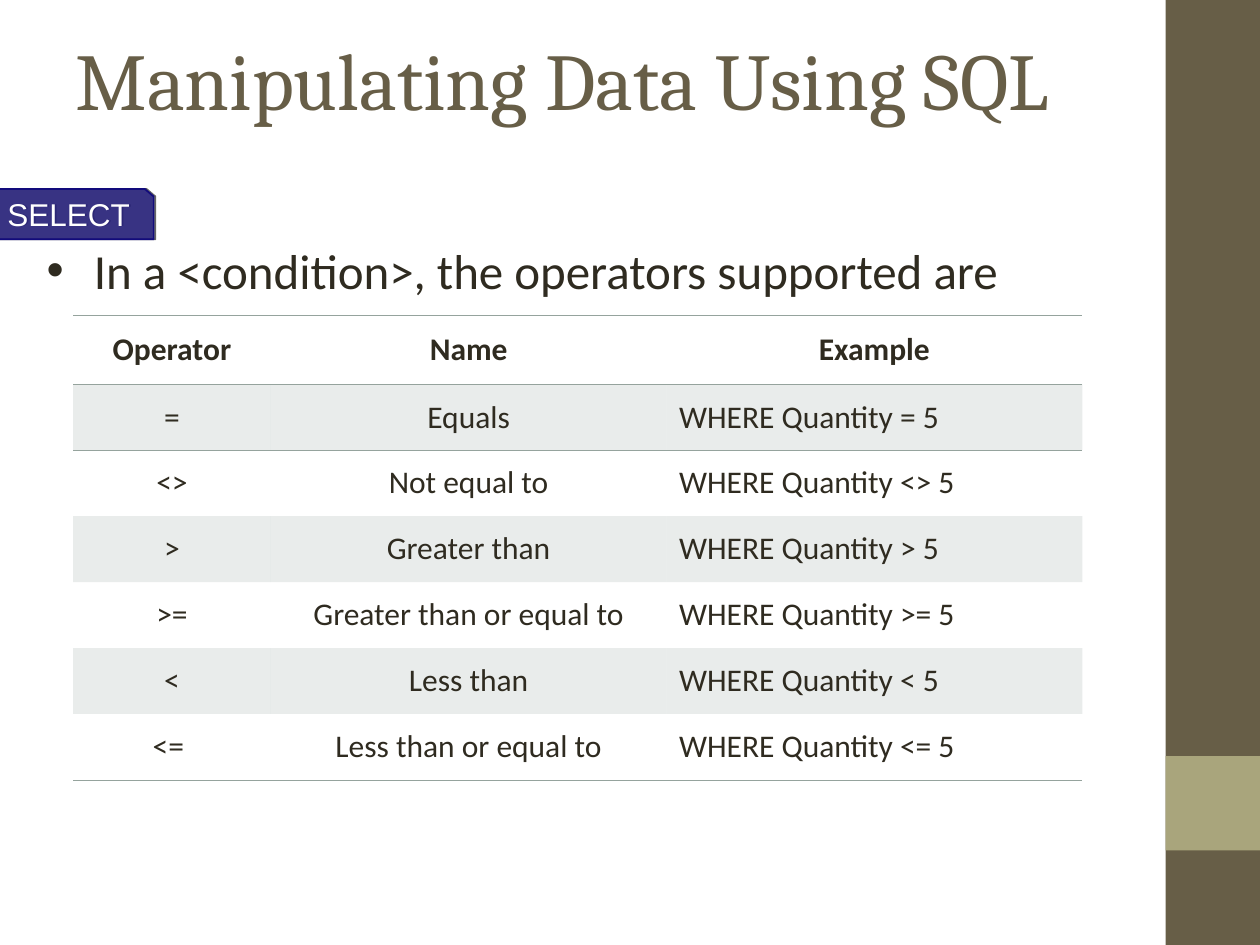
"""Build a slide that lists the operators of an SQL condition."""
from dataclasses import dataclass

from lxml import etree
from pptx import Presentation
from pptx.dml.color import RGBColor
from pptx.enum import shapes, text
from pptx.oxml import ns, parse_xml
from pptx.util import Inches, Pt

BROWN = RGBColor(0x67, 0x5E, 0x47)
OLIVE = RGBColor(0xA9, 0xA5, 0x7C)
NAVY = RGBColor(0x12, 0x0B, 0x7C)
INK = RGBColor(0x2F, 0x2B, 0x20)
SAGE = RGBColor(0x95, 0xA3, 0x9D)
WHITE = RGBColor(0xFF, 0xFF, 0xFF)
PLAIN = "{2D5ABB26-0587-4C30-8999-92F81FD0307C}"
LEFT, MID, JUST = text.PP_ALIGN.LEFT, text.PP_ALIGN.CENTER, text.PP_ALIGN.JUSTIFY


@dataclass
class Style:
    name: str
    size: float
    color: RGBColor
    align: text.PP_ALIGN = LEFT
    bold: bool = False


@dataclass
class Bar:
    top: float
    height: float
    color: RGBColor


@dataclass
class Op:
    sign: str
    name: str


BARS = [Bar(0, 7.5, BROWN), Bar(6, 0.75, OLIVE)]
OPS = [
    Op("=", "Equals"),
    Op("<>", "Not equal to"),
    Op(">", "Greater than"),
    Op(">=", "Greater than or equal to"),
    Op("<", "Less than"),
    Op("<= ", "Less than or equal to"),
]
HEAD = Style("Calibri", 18, INK, MID, True)
CELL = Style("Calibri", 18, INK, MID)
CODE = Style("Calibri", 18, INK)


def write(frame, words: str, style: Style) -> None:
    frame.text = words
    para = frame.paragraphs[0]
    para.alignment = style.align
    para.space_before = Pt(0)
    font = para.runs[0].font
    look = {"name": style.name, "size": Pt(style.size), "bold": style.bold}
    for key, value in look.items():
        setattr(font, key, value)
    font.color.rgb = style.color


def tint(fill, color: RGBColor, part: int, node) -> None:
    fill.solid()
    fill.fore_color.rgb = color
    tone = node.find(ns.qn("a:solidFill")).find(ns.qn("a:srgbClr"))
    etree.SubElement(tone, ns.qn("a:alpha")).set("val", str(part * 1000))


def place(shape, left: float, top: float, width: float, height: float) -> None:
    spot = {"left": left, "top": top, "width": width, "height": height}
    for key, value in spot.items():
        setattr(shape, key, Inches(value))


def draw_bar(slide, bar: Bar) -> None:
    shape = slide.shapes.add_shape(
        shapes.MSO_SHAPE.RECTANGLE, Inches(9.25), Inches(bar.top), Inches(0.75), Inches(bar.height))
    shape.shadow.inherit = False
    shape.fill.solid()
    shape.fill.fore_color.rgb = bar.color
    shape.line.fill.background()


def draw_tag(slide) -> None:
    points = [(1.15, 1.5), (1.22, 1.56), (1.22, 1.9), (-0.04, 1.9)]
    pen = slide.shapes.build_freeform(Inches(-0.04), Inches(1.5))
    pen.add_line_segments([(Inches(x), Inches(y)) for x, y in points])
    tag = pen.convert_to_shape()
    tag.shadow.inherit = False
    props = tag.element.spPr
    tint(tag.fill, NAVY, 70, props)
    tag.line.color.rgb = NAVY
    tag.line.width = Pt(1)
    props.find(ns.qn("a:effectLst")).append(parse_xml(
        f'<a:outerShdw {ns.nsdecls("a")} blurRad="0" dist="12700" dir="0">'
        '<a:srgbClr val="000000"><a:alpha val="60000"/></a:srgbClr></a:outerShdw>'))
    frame = tag.text_frame
    frame.vertical_anchor = text.MSO_ANCHOR.MIDDLE
    write(frame, "SELECT", Style("Arial", 18, WHITE, JUST))


def rule(cell, side: str) -> None:
    cell._tc.get_or_add_tcPr().insert(0, parse_xml(
        f'<a:{side} {ns.nsdecls("a")} w="5715"><a:solidFill>'
        f'<a:srgbClr val="{SAGE}"/></a:solidFill></a:{side}>'))


def draw_table(slide) -> None:
    rows = [("Operator", "Name", "Example")]
    rows += [(op.sign, op.name, f"WHERE Quantity {op.sign.strip()} 5") for op in OPS]
    widths = [1.57, 3.14, 3.3]
    first, total = 0.55, 3.69
    table = slide.shapes.add_table(
        len(rows), len(widths), Inches(0.58), Inches(2.5), Inches(sum(widths)), Inches(total)).table
    table._tbl.tblPr.find(ns.qn("a:tableStyleId")).text = PLAIN
    for col, width in zip(table.columns, widths):
        col.width = Inches(width)
    for i, row in enumerate(rows):
        table.rows[i].height = Inches(first if i == 0 else (total - first) / len(OPS))
        for j, words in enumerate(row):
            cell = table.cell(i, j)
            cell.vertical_anchor = text.MSO_ANCHOR.MIDDLE
            write(cell.text_frame, words, HEAD if i == 0 else CODE if j == 2 else CELL)
            if i % 2:
                tint(cell.fill, SAGE, 20, cell._tc.get_or_add_tcPr())
            else:
                cell.fill.background()
            if i in (0, len(OPS)):
                rule(cell, "lnB")
            if i in (0, 1):
                rule(cell, "lnT")


def main() -> None:
    deck = Presentation()
    deck.slide_width, deck.slide_height = Inches(10), Inches(7.5)
    slide = deck.slides.add_slide(deck.slide_layouts[1])
    title, body = slide.placeholders
    place(title, 0.5, 0, 8.33, 1.25)
    place(body, 0.27, 1.86, 9.47, 1.18)
    for shape in (title, body):
        shape.text_frame.auto_size = text.MSO_AUTO_SIZE.NONE
    title.text_frame.vertical_anchor = text.MSO_ANCHOR.MIDDLE
    write(title.text_frame, "Manipulating Data Using SQL", Style("Cambria", 46, BROWN))
    props = body.text_frame.paragraphs[0]._p.get_or_add_pPr()
    for key in ("marL", "indent"):
        props.set(key, "0")
    etree.SubElement(props, ns.qn("a:buNone"))
    write(body.text_frame, "In a <condition>, the operators supported are", Style("Calibri", 28, INK))
    for bar in BARS:
        draw_bar(slide, bar)
    draw_tag(slide)
    draw_table(slide)
    deck.save("out.pptx")


if __name__ == "__main__":
    main()
